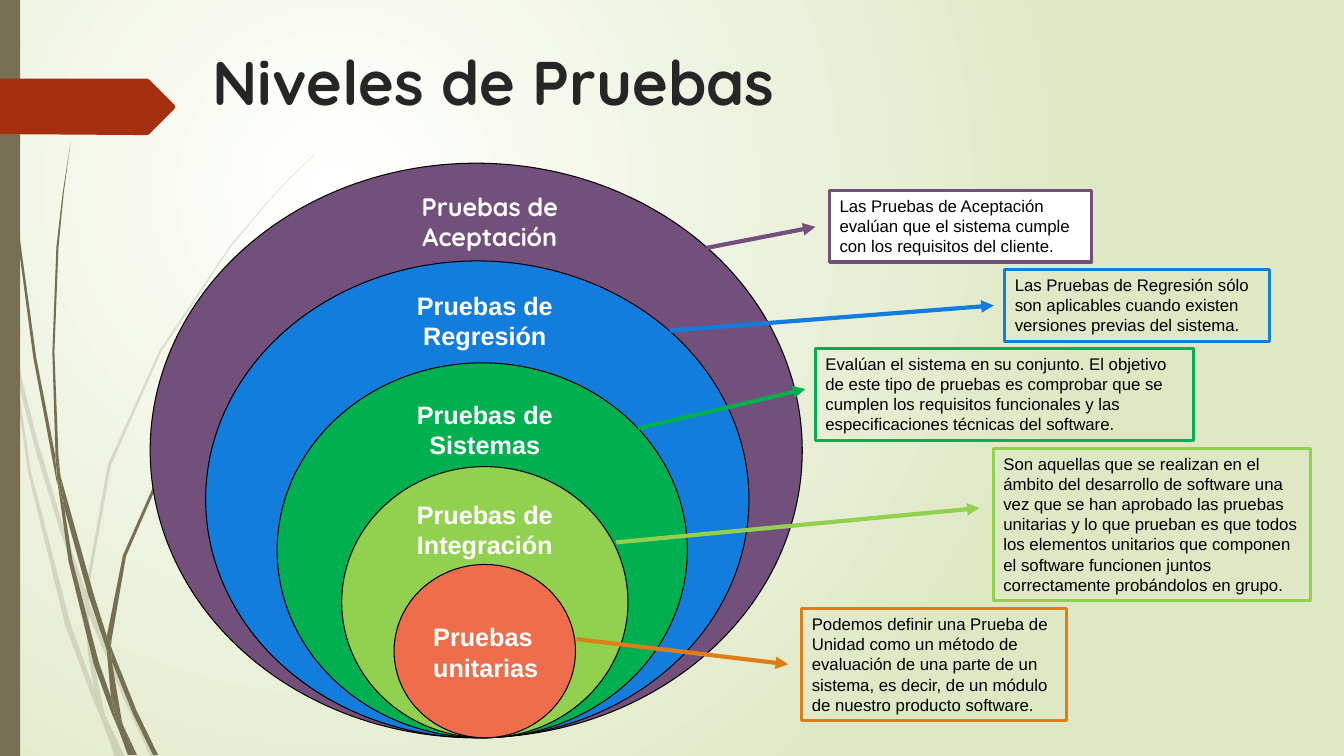
from lxml.etree import SubElement
from pptx import Presentation
from pptx.dml.color import RGBColor
from pptx.enum.shapes import MSO_CONNECTOR, MSO_SHAPE
from pptx.enum.text import MSO_ANCHOR, PP_ALIGN
from pptx.oxml.ns import qn
from pptx.util import Pt

WHITE = RGBColor(0xFF, 0xFF, 0xFF)
BLACK = RGBColor(0, 0, 0)
INK = RGBColor(0x26, 0x26, 0x26)
PALE_GREEN = RGBColor(0xDF, 0xE8, 0xC4)
OLIVE = RGBColor(0x76, 0x6F, 0x54)
RUST = RGBColor(0xA5, 0x30, 0x10)
PURPLE = RGBColor(0x73, 0x50, 0x7C)
BLUE = RGBColor(0x13, 0x7D, 0xDD)
GREEN = RGBColor(0x00, 0xB0, 0x50)
LIME = RGBColor(0x92, 0xD0, 0x50)
CORAL = RGBColor(0xEE, 0x6E, 0x4B)
ORANGE = RGBColor(0xDE, 0x7E, 0x18)

TITLE = "Niveles de Pruebas"
OVAL_BOTTOM = 527
LABEL_HEIGHT = 51

# Each level: label, font, alignment, (label left, top, width), oval colour, (oval left, width, height)
LEVELS = [
    ("Pruebas de Aceptación", "Quicksand", PP_ALIGN.CENTER, (288, 133.2, 123.8),
     PURPLE, (107.3, 465.8, 410.4)),
    ("Pruebas de Regresión", "Arial", PP_ALIGN.CENTER, (283.7, 203.8, 125.3),
     BLUE, (146.9, 388.1, 340.6)),
    ("Pruebas de Sistemas", "Arial", PP_ALIGN.CENTER, (288, 281.5, 116.6),
     GREEN, (198, 293, 267.8)),
    ("Pruebas de Integración", "Arial", PP_ALIGN.CENTER, (288, 352.8, 116.6),
     LIME, (244.1, 204.5, 193.7)),
    ("Pruebas unitarias", "Arial", PP_ALIGN.LEFT, (302.4, 440.6, 93.6),
     CORAL, (281.5, 129.6, 123.8)),
]

NOTES = [
    ("Las Pruebas de Aceptación evalúan que el sistema cumple con los requisitos del cliente.",
     PURPLE, (592.6, 136.1, 187.2, 51.1), (504.7, 177.1, 582.5, 162)),
    ("Las Pruebas de Regresión sólo son aplicables cuando existen versiones previas del sistema.",
     BLUE, (717.8, 192.6, 189, 51.1), (478.4, 236.2, 709.9, 218.2)),
    ("Evalúan el sistema en su conjunto. El objetivo de este tipo de pruebas es comprobar que se "
     "cumplen los requisitos funcionales y las especificaciones técnicas del software.",
     GREEN, (582.5, 249.1, 270, 65.5), (455.8, 306, 575.3, 277.9)),
    ("Son aquellas que se realizan en el ámbito del desarrollo de software una vez que se han "
     "aprobado las pruebas unitarias y lo que prueban es que todos los elementos unitarios que "
     "componen el software funcionen juntos correctamente probándolos en grupo.",
     LIME, (709.6, 320.4, 226.8, 108.7), (440.2, 387.4, 699.8, 362.9)),
    ("Podemos definir una Prueba de Unidad como un método de evaluación de una parte de un "
     "sistema, es decir, de un módulo de nuestro producto software.",
     ORANGE, (572.8, 434.9, 188.8, 79.9), (411.8, 456.5, 563, 474.5)),
]

PALE_GRASS = [
    [(7.9, 252), (6.5, 231.8), (0, 203), (0, 215.3), (7.2, 247.7)],
    [(41.8, 375.8), (60.5, 431.3), (61.2, 421.9), (44.6, 374.4), (26, 312), (10.1, 248.4),
     (12.2, 270.7), (25.9, 323.6)],
    [(66.2, 437), (63.4, 429.1), (63.4, 439.2), (88.6, 499.7), (108, 540.7), (111.6, 540.7),
     (91.4, 498.2)],
    [(85.7, 540.7), (89.3, 540.7), (75.6, 511.9)],
    [(67, 491.8), (50.4, 445.7), (22.3, 337.7), (12.2, 270.7), (7.9, 252), (20.2, 338.4),
     (46.8, 447.1), (66.2, 499), (72.7, 514.1), (71.3, 509)],
    [(60.5, 431.3), (62.6, 465.1), (67, 491.8), (69.1, 498.2), (75.6, 511.9), (74.2, 508.3),
     (65.5, 465.1), (63.4, 439.2), (63.4, 437.8)],
    [(63.4, 420.5), (79.2, 332.6), (115.2, 251.3), (164.9, 176.4), (193, 142.6), (208.8, 126),
     (224.6, 110.9), (224.6, 110.2), (208.1, 126), (193, 141.8), (164.2, 175.7),
     (113.8, 250.6), (77, 331.9), (61.2, 420.5), (61.2, 421.9), (63.4, 429.1)],
    [(72.7, 514.1), (82.1, 540.7), (85.7, 540.7)],
    [(63.4, 437.8), (63.4, 439.2), (63.4, 429.1), (61.2, 421.9), (60.5, 431.3)],
    [(69.1, 498.2), (67, 491.8), (71.3, 509), (72.7, 514.1), (85.7, 540.7), (75.6, 511.9)],
]

DARK_GRASS = [
    [(5, 79.2), (12.2, 167.8), (23.8, 255.6), (40.3, 343.4), (41, 346.3), (39.6, 329),
     (39.6, 326.2), (25.9, 255.6), (13.7, 167), (5.8, 78.5), (3.6, 34.6), (2.9, 0),
     (2.2, 0), (2.9, 34.6)],
    [(63.4, 426.2), (76.3, 464.4), (76.3, 455.8), (76.3, 454.3), (67, 424.8), (43.2, 339.8),
     (46.1, 363.6)],
    [(81.4, 467.3), (79.2, 461.5), (79.9, 472.3), (95, 509.8), (109.4, 539.3), (113, 539.3),
     (97.9, 508.3)],
    [(79.2, 497.5), (70.6, 473), (51.8, 400.3), (46.1, 363.6), (41, 343.4), (49, 401),
     (67, 474.5), (79.9, 509.8), (84.2, 519.8), (83.5, 516.2)],
    [(43.2, 339.8), (41.8, 326.2), (38.9, 251.3), (41.8, 176.4), (45.4, 139), (50.4, 101.5),
     (44.6, 139), (40.3, 176.4), (37.4, 251.3), (39.6, 323.3)],
    [(95.8, 539.3), (97.9, 539.3), (87.8, 517.7)],
    [(41, 343.4), (46.1, 363.6), (43.2, 339.8), (39.6, 323.3), (39.6, 326.2)],
    [(79.9, 455.8), (90, 397.4), (113.8, 342.7), (147.6, 292.3), (166.3, 269.3),
     (176.4, 258.5), (187.9, 247.7), (187.2, 247.7), (176.4, 257.8), (166.3, 268.6),
     (146.9, 291.6), (112.3, 341.3), (87.8, 396.7), (76.3, 454.3), (79.2, 461.5)],
    [(84.2, 519.8), (91.4, 539.3), (94.3, 539.3)],
    [(76.3, 464.4), (79.2, 497.5), (83.5, 508.3), (87.8, 517.7), (87.1, 515.5),
     (79.9, 472.3), (78.5, 468.7)],
    [(76.3, 464.4), (78.5, 468.7), (79.9, 472.3), (79.2, 461.5), (76.3, 454.3), (76.3, 455.8)],
    [(83.5, 508.3), (79.2, 497.5), (83.5, 516.2), (84.2, 519.8), (93.6, 539.3),
     (95.8, 539.3), (87.8, 517.7)],
]

TAG = [(0, 56.2), (105.1, 56.2), (106.6, 56.9), (124.6, 74.9), (125.3, 76.3), (124.6, 77.8),
       (106.6, 95.8), (105.1, 96.5), (0, 95.8)]


def paint(shape, fill, line=None, width=0.75):
    shape.shadow.inherit = False
    if fill is None:
        shape.fill.background()
    else:
        shape.fill.solid()
        shape.fill.fore_color.rgb = fill
    if line is None:
        shape.line.fill.background()
    else:
        shape.line.color.rgb = line
        shape.line.width = Pt(width)


def add_shape(kind, frame, fill, line=None, width=0.75):
    shape = page.shapes.add_shape(kind, *map(Pt, frame))
    paint(shape, fill, line, width)
    return shape


def add_outline(points, color, opacity=100):
    corners = [(Pt(x), Pt(y)) for x, y in points]
    builder = page.shapes.build_freeform(*corners[0])
    builder.add_line_segments(corners[1:], close=True)
    outline = builder.convert_to_shape()
    paint(outline, color)
    if opacity < 100:
        tint = outline.element.spPr.find(qn("a:solidFill"))[0]
        SubElement(tint, qn("a:alpha"), val=str(opacity * 1000))


def write(shape, text, font, size, color, bold=False, align=PP_ALIGN.LEFT, anchor=MSO_ANCHOR.TOP):
    frame = shape.text_frame
    frame.word_wrap = True
    frame.vertical_anchor = anchor
    frame.text = text
    para = frame.paragraphs[0]
    para.alignment = align
    span = para.runs[0]
    span.font.name = font
    span.font.size = Pt(size)
    span.font.bold = bold
    span.font.color.rgb = color


def add_arrow(ends, color):
    arrow = page.shapes.add_connector(MSO_CONNECTOR.STRAIGHT, *map(Pt, ends))
    arrow.line.color.rgb = color
    arrow.line.width = Pt(3)
    SubElement(arrow.element.spPr.find(qn("a:ln")), qn("a:tailEnd"), type="triangle")
    SubElement(arrow.element.spPr, qn("a:effectLst"))


def add_background():
    fill = page.background.fill
    fill.gradient()
    for stop, position, color in zip(fill.gradient_stops, (0, 1), (WHITE, PALE_GREEN)):
        stop.position = position
        stop.color.rgb = color
    gradient = page.element.find(".//" + qn("a:gradFill"))
    gradient.remove(gradient.find(qn("a:lin")))
    circle = SubElement(gradient, qn("a:path"), path="circle")
    SubElement(circle, qn("a:fillToRect"), l="50000", t="50000", r="100000", b="100000")


deck = Presentation()
deck.slide_width, deck.slide_height = Pt(960), Pt(540)
page = deck.slides.add_slide(deck.slide_layouts[6])

add_background()
for grass, opacity in ((PALE_GRASS, 20), (DARK_GRASS, 100)):
    for blade in grass:
        add_outline(blade, OLIVE, opacity)
add_shape(MSO_SHAPE.RECTANGLE, (0, 0, 14.4, 540), OLIVE)
add_outline(TAG, RUST)

title = page.shapes.add_textbox(Pt(144.7), Pt(25.9), Pt(428.4), Pt(63.4))
write(title, TITLE, "Quicksand", 44, INK, bold=True, anchor=MSO_ANCHOR.MIDDLE)

for label, font, align, spot, color, (left, width, height) in LEVELS:
    add_shape(MSO_SHAPE.OVAL, (left, OVAL_BOTTOM - height, width, height), color, BLACK)
for label, font, align, spot, color, oval in LEVELS:
    box = page.shapes.add_textbox(*map(Pt, (*spot, LABEL_HEIGHT)))
    write(box, label, font, 18, WHITE, bold=True, align=align)

for text, color, frame, ends in NOTES:
    note = add_shape(MSO_SHAPE.RECTANGLE, frame, WHITE if color == PURPLE else None, color, 2.25)
    write(note, text, "Arial", 12, BLACK)
for text, color, frame, ends in NOTES:
    add_arrow(ends, color)

deck.save("out.pptx")
